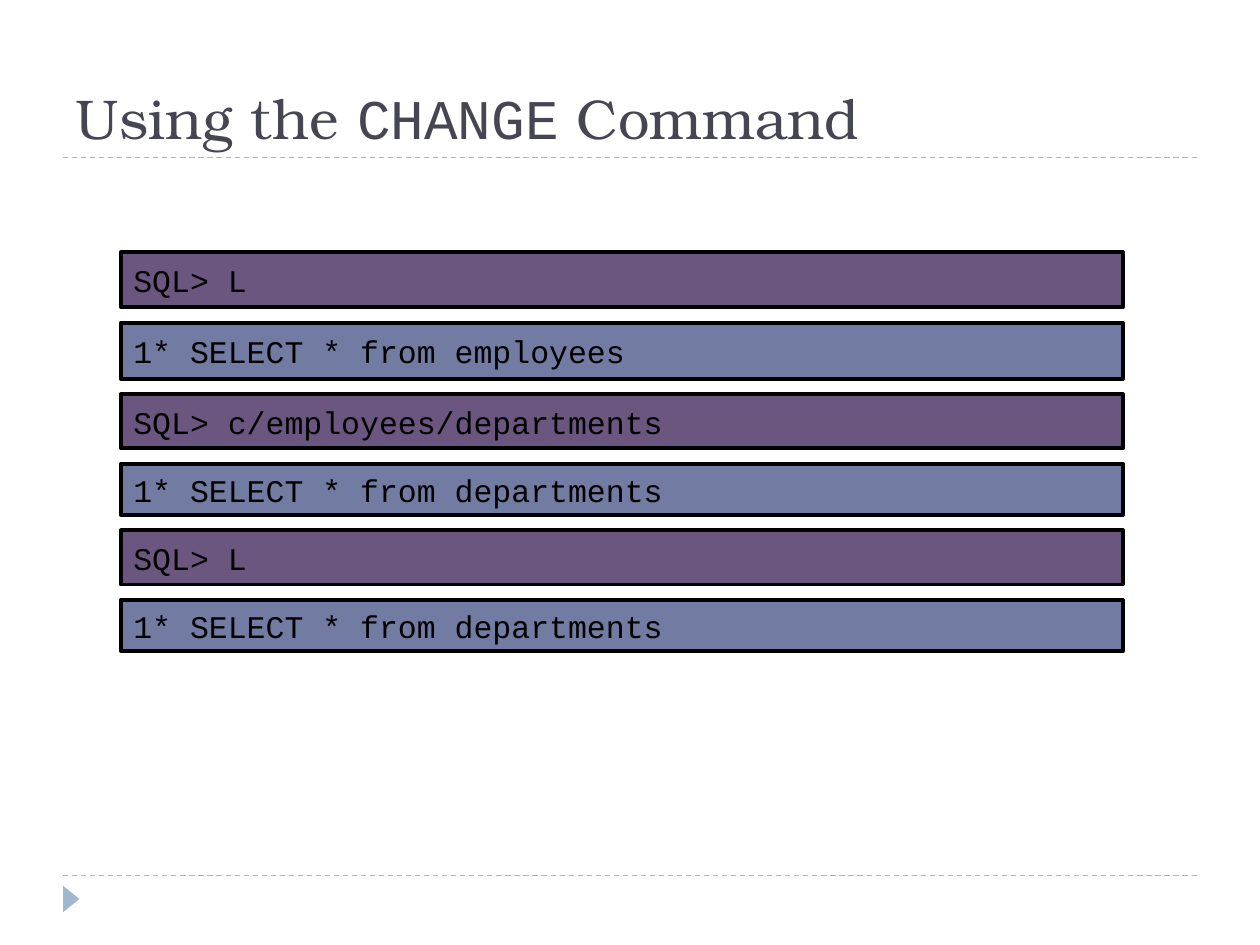
"""Build a slide that shows the CHANGE command of an SQL prompt."""
from pptx import Presentation
from pptx.dml.color import RGBColor
from pptx.enum.dml import MSO_LINE_DASH_STYLE as Dash
from pptx.enum.shapes import MSO_CONNECTOR as Link, MSO_SHAPE as Kind
from pptx.enum.text import MSO_ANCHOR as Anchor, MSO_AUTO_SIZE as Fit, PP_ALIGN as Align
from pptx.oxml.ns import qn
from pptx.util import Inches, Pt
from lxml.etree import SubElement

MONO, SERIF = "Courier New", "TeX Gyre Bonum"
INK, BLACK, PALE = "464653", "000000", "9FB8CD"
INPUT, OUTPUT = "6B5680", "727CA3"
LEFT, TOP, WIDTH, GAP = 0.96, 2, 7.95, 0.12
ROWS = [
    ("SQL> L", 0.44),
    ("1* SELECT * from employees", 0.45),
    ("SQL> c/employees/departments", 0.43),
    ("1* SELECT * from departments", 0.41),
    ("SQL> L", 0.43),
    ("1* SELECT * from departments", 0.41),
]


def color(code):
    return RGBColor.from_string(code)


def apply(item, values):
    for name, value in values.items():
        setattr(item, name, value)


class Board:
    frame = {"word_wrap": True, "auto_size": Fit.NONE}
    head = {"size": Pt(32), "bold": False}
    code = {"size": Pt(18), "name": MONO}
    rule = {"width": Pt(0.75), "dash_style": Dash.DASH}

    def __init__(self, slide):
        self.slide = slide

    def text(self, par, words, ink, font):
        run = par.add_run()
        run.text = words
        apply(run.font, font)
        run.font.color.rgb = color(ink)

    def title(self, parts):
        shape = self.slide.shapes.title
        apply(shape, {"left": Inches(0.5), "top": Inches(0.25),
                      "width": Inches(9), "height": Inches(1)})
        apply(shape.text_frame, {**self.frame, "vertical_anchor": Anchor.BOTTOM})
        par = shape.text_frame.paragraphs[0]
        par.alignment = Align.LEFT
        for words, face in parts:
            self.text(par, words, INK, {**self.head, "name": face})

    def line(self, top):
        link = self.slide.shapes.add_connector(
            Link.STRAIGHT, Inches(0.5), Inches(top), Inches(9.5), Inches(top))
        apply(link.line, self.rule)
        link.line.color.rgb = color(PALE)
        SubElement(link._element.spPr, qn("a:effectLst"))

    def shape(self, kind, box, fill):
        shape = self.slide.shapes.add_shape(kind, *map(Inches, box))
        shape.shadow.inherit = False
        shape.fill.solid()
        shape.fill.fore_color.rgb = color(fill)
        return shape

    def marker(self):
        shape = self.shape(Kind.ISOSCELES_TRIANGLE, (0.46, 7.07, 0.21, 0.13), PALE)
        shape.rotation = 90
        shape.line.fill.background()

    def bar(self, words, top, height, fill):
        shape = self.shape(Kind.RECTANGLE, (LEFT, top, WIDTH, height), fill)
        shape.line.width = Pt(2.25)
        shape.line.color.rgb = color(BLACK)
        apply(shape.text_frame, {**self.frame, "vertical_anchor": Anchor.MIDDLE})
        par = shape.text_frame.paragraphs[0]
        par.alignment = Align.LEFT
        self.text(par, words, BLACK, self.code)


def main():
    deck = Presentation()
    apply(deck, {"slide_width": Inches(10), "slide_height": Inches(7.5)})
    board = Board(deck.slides.add_slide(deck.slide_layouts[5]))
    for top in (6.95, 1.25):
        board.line(top)
    board.marker()
    board.title([("Using the ", SERIF), ("CHANGE", MONO), (" Command", SERIF)])
    top = TOP
    for words, height in ROWS:
        board.bar(words, top, height, INPUT if words.startswith("SQL>") else OUTPUT)
        top += height + GAP
    deck.save("out.pptx")


if __name__ == "__main__":
    main()
